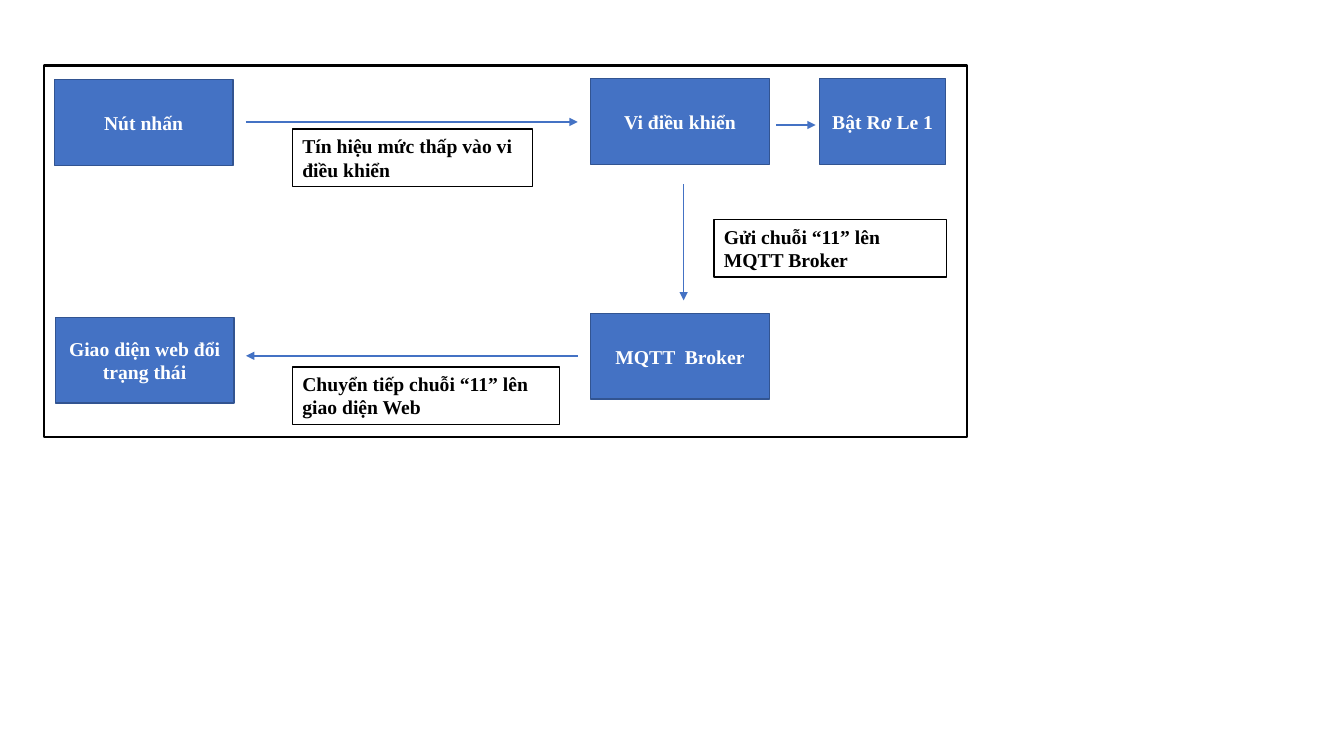
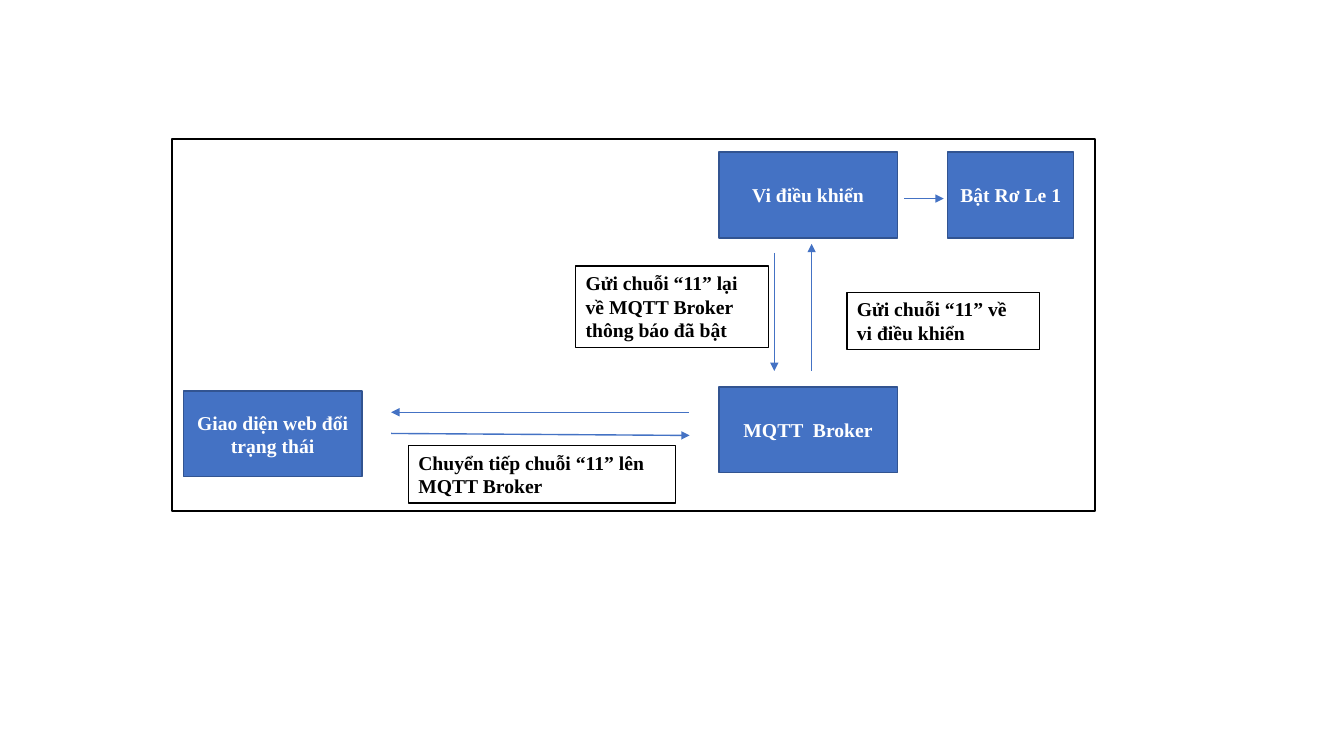
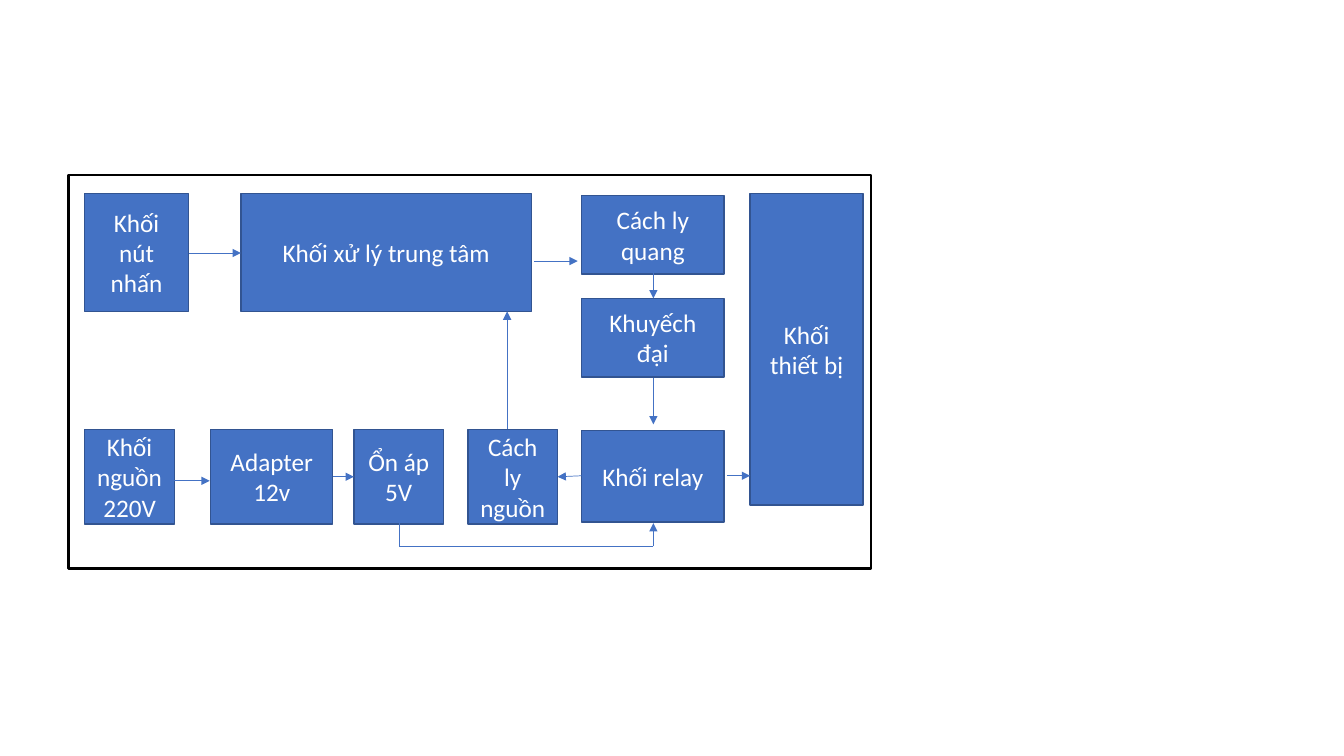
from dataclasses import dataclass

from pptx import Presentation
from pptx.dml.color import RGBColor
from pptx.enum.shapes import MSO_CONNECTOR, MSO_SHAPE
from pptx.enum.text import MSO_ANCHOR, MSO_AUTO_SIZE, PP_ALIGN
from pptx.oxml.ns import qn
from pptx.slide import Slide
from pptx.text.text import TextFrame
from pptx.util import Inches, Pt
from lxml.etree import SubElement


@dataclass(frozen=True)
class TextStyle:
    font: str
    size: int
    bold: bool


@dataclass(frozen=True)
class Theme:
    block: RGBColor = RGBColor(0x44, 0x72, 0xC4)
    block_edge: RGBColor = RGBColor(0x32, 0x54, 0x91)
    light: RGBColor = RGBColor(0xFF, 0xFF, 0xFF)
    dark: RGBColor = RGBColor(0x00, 0x00, 0x00)
    edge_width: float = 1
    frame_width: float = 1.5
    signal: TextStyle = TextStyle("Times New Roman", 14, True)
    hardware: TextStyle = TextStyle("Calibri", 18, False)


THEME = Theme()


@dataclass(frozen=True)
class Box:
    left: float
    top: float
    width: float
    height: float
    text: str = ""


@dataclass(frozen=True)
class Arrow:
    x1: float
    y1: float
    x2: float
    y2: float
    head: bool = True


@dataclass(frozen=True)
class Diagram:
    frame: Box
    blocks: list[Box]
    arrows: list[Arrow]
    labels: list[Box]
    style: TextStyle
    arrow_width: float


# Drawing
def place(box: Box) -> tuple[int, int, int, int]:
    return Inches(box.left), Inches(box.top), Inches(box.width), Inches(box.height)


def write(frame: TextFrame, text: str, style: TextStyle, color: RGBColor,
          align: PP_ALIGN) -> None:
    frame.word_wrap = True
    frame.text = text
    for paragraph in frame.paragraphs:
        paragraph.alignment = align
        paragraph.font.name = style.font
        paragraph.font.size = Pt(style.size)
        paragraph.font.bold = style.bold
        paragraph.font.color.rgb = color


def draw_block(slide: Slide, box: Box, style: TextStyle) -> None:
    block = slide.shapes.add_shape(MSO_SHAPE.RECTANGLE, *place(box))
    block.shadow.inherit = False
    block.fill.solid()
    block.fill.fore_color.rgb = THEME.block
    block.line.color.rgb = THEME.block_edge
    block.line.width = Pt(THEME.edge_width)
    block.text_frame.vertical_anchor = MSO_ANCHOR.MIDDLE
    write(block.text_frame, box.text, style, THEME.light, PP_ALIGN.CENTER)


def draw_label(slide: Slide, box: Box, style: TextStyle) -> None:
    label = slide.shapes.add_textbox(*place(box))
    label.line.color.rgb = THEME.dark
    label.line.width = Pt(THEME.edge_width)
    write(label.text_frame, box.text, style, THEME.dark, PP_ALIGN.LEFT)
    label.text_frame.auto_size = MSO_AUTO_SIZE.SHAPE_TO_FIT_TEXT


def draw_arrow(slide: Slide, arrow: Arrow, width: float) -> None:
    connector = slide.shapes.add_connector(
        MSO_CONNECTOR.STRAIGHT, Inches(arrow.x1), Inches(arrow.y1),
        Inches(arrow.x2), Inches(arrow.y2))
    connector.line.color.rgb = THEME.block
    connector.line.width = Pt(width)
    properties = connector.element.spPr
    if arrow.head:
        SubElement(properties.find(qn("a:ln")), qn("a:tailEnd"), type="triangle")
    SubElement(properties, qn("a:effectLst"))


def draw_frame(slide: Slide, box: Box) -> None:
    frame = slide.shapes.add_shape(MSO_SHAPE.RECTANGLE, *place(box))
    frame.shadow.inherit = False
    frame.fill.background()
    frame.line.color.rgb = THEME.dark
    frame.line.width = Pt(THEME.frame_width)


def draw_diagram(slide: Slide, diagram: Diagram) -> None:
    for block in diagram.blocks:
        draw_block(slide, block, diagram.style)
    for label in diagram.labels:
        draw_label(slide, label, diagram.style)
    for arrow in diagram.arrows:
        draw_arrow(slide, arrow, diagram.arrow_width)
    draw_frame(slide, diagram.frame)


# Signal flows: the same four parts, placed from the frame's corner
NODE_WIDTH, NODE_HEIGHT = 1.77, 0.85


def signal_flow(left: float, top: float, blocks: list[Box],
                arrows: list[Arrow], labels: list[Box]) -> Diagram:
    node_left = left + 5.42
    shared = [
        Box(node_left, top + 0.13, NODE_WIDTH, NODE_HEIGHT, "Vi điều khiển"),
        Box(node_left, top + 2.46, NODE_WIDTH, NODE_HEIGHT, "MQTT  Broker"),
        Box(left + 0.11, top + 2.5, NODE_WIDTH, NODE_HEIGHT,
            "Giao diện web đổi trạng thái"),
        Box(left + 7.69, top + 0.13, 1.25, NODE_HEIGHT, "Bật Rơ Le 1"),
    ]
    relay_arrow = Arrow(left + 7.26, top + 0.59, left + 7.65, top + 0.59)
    return Diagram(Box(left, top, 9.15, 3.69), shared + blocks,
                   [relay_arrow, *arrows], labels, THEME.signal, 1)


def button_flow() -> Diagram:
    return signal_flow(
        0.44, 0.65,
        blocks=[Box(0.54, 0.79, NODE_WIDTH, NODE_HEIGHT, "Nút nhấn")],
        arrows=[
            Arrow(2.44, 1.21, 5.73, 1.21),
            Arrow(6.78, 1.83, 6.78, 2.98),
            Arrow(5.73, 3.53, 2.44, 3.53),
        ],
        labels=[
            Box(2.9, 1.28, 2.38, 0.57, "Tín hiệu mức thấp vào vi điều khiển"),
            Box(7.08, 2.18, 2.31, 0.57, "Gửi chuỗi “11” lên MQTT Broker"),
            Box(2.9, 3.64, 2.65, 0.57, "Chuyển tiếp chuỗi “11” lên giao diện Web"),
        ])


def web_flow() -> Diagram:
    return signal_flow(
        1.71, 1.38,
        blocks=[],
        arrows=[
            Arrow(7.68, 2.51, 7.68, 3.68),
            Arrow(8.05, 3.68, 8.05, 2.42),
            Arrow(6.83, 4.09, 3.88, 4.09),
            Arrow(3.88, 4.3, 6.84, 4.32),
        ],
        labels=[
            Box(5.71, 2.64, 1.91, 0.81,
                "Gửi chuỗi “11” lại về MQTT Broker thông báo đã bật"),
            Box(8.4, 2.9, 1.91, 0.57, "Gửi chuỗi “11” về\nvi điều khiển"),
            Box(4.05, 4.42, 2.65, 0.57, "Chuyển tiếp chuỗi “11” lên MQTT Broker"),
        ])


# Hardware blocks: a control row, a power row and the relay column
def hardware_blocks() -> Diagram:
    control_top, control_height = 1.92, 1.17
    power_top, power_width, power_height = 4.26, 0.89, 0.94
    relay_left, relay_width = 5.77, 1.41
    power_bottom, supply_y = 5.19, 5.42
    regulator_x, relay_x = 3.96, 6.48
    return Diagram(
        frame=Box(0.68, 1.74, 7.96, 3.9),
        blocks=[
            Box(0.84, control_top, 1.03, control_height, "Khối nút nhấn"),
            Box(2.39, control_top, 2.88, control_height, "Khối xử lý trung tâm"),
            Box(7.44, control_top, 1.12, 3.09, "Khối thiết bị"),
            Box(0.84, power_top, power_width, power_height, "Khối nguồn 220V"),
            Box(2.09, power_top, 1.21, power_height, "Adapter 12v"),
            Box(3.51, power_top, power_width, power_height, "Ổn áp 5V"),
            Box(4.64, power_top, power_width, power_height, "Cách ly nguồn"),
            Box(relay_left, 1.94, relay_width, 0.78, "Cách ly quang"),
            Box(relay_left, 2.96, relay_width, 0.78, "Khuyếch đại"),
            Box(relay_left, 4.27, relay_width, 0.91, "Khối relay"),
        ],
        arrows=[
            # Control signal
            Arrow(1.87, 2.51, 2.39, 2.51),
            Arrow(5.3, 2.59, 5.73, 2.59),
            Arrow(relay_x, 2.71, relay_x, 2.96),
            Arrow(relay_x, 3.75, relay_x, 4.21),
            Arrow(7.21, 4.72, 7.44, 4.72),
            # Power supply
            Arrow(1.73, 4.77, 2.08, 4.77),
            Arrow(3.3, 4.73, 3.51, 4.73),
            Arrow(relay_left, 4.72, 5.53, 4.73),
            Arrow(5.03, power_top, 5.03, 3.09),
            Arrow(regulator_x, power_bottom, regulator_x, supply_y, head=False),
            Arrow(regulator_x, supply_y, relay_x, supply_y, head=False),
            Arrow(relay_x, supply_y, relay_x, power_bottom),
        ],
        labels=[], style=THEME.hardware, arrow_width=0.5)


def main() -> None:
    deck = Presentation()
    deck.slide_width, deck.slide_height = Inches(13.33), Inches(7.5)
    blank_layout = deck.slide_layouts[6]
    for diagram in (button_flow(), web_flow(), hardware_blocks()):
        draw_diagram(deck.slides.add_slide(blank_layout), diagram)
    deck.save("out.pptx")


if __name__ == "__main__":
    main()
